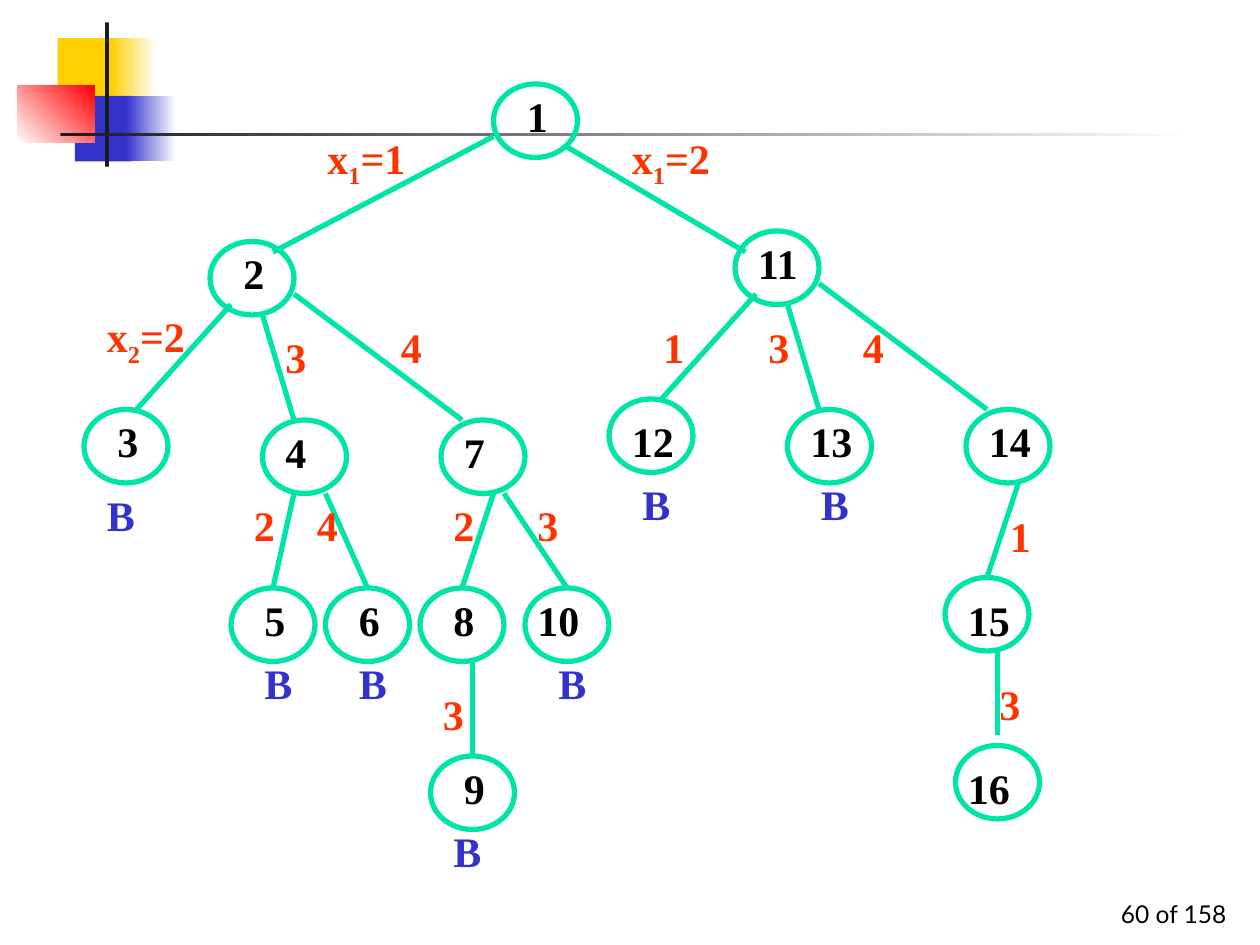
from lxml.etree import SubElement
from pptx import Presentation
from pptx.dml.color import RGBColor
from pptx.enum.shapes import MSO_CONNECTOR, MSO_SHAPE
from pptx.enum.text import MSO_ANCHOR, PP_ALIGN
from pptx.oxml.ns import qn
from pptx.util import Pt

PX = 9525  # EMU per px, 96 px to the inch
NODE_WIDTH, NODE_HEIGHT = 64, 56

COLORS = {
    "tree": "00E4A8",
    "number": "000000",
    "choice": "FF3300",
    "bound": "3333CC",
    "yellow": "FFCF01",
    "blue": "3333CC",
    "red": "FF0000",
    "dark": "1C1C1C",
    "white": "FFFFFF",
}

# Decoration: left, top, width, height, colours, gradient angle
DECORATION = [
    (44, 29, 46, 50, ["yellow"], 0),
    (84, 29, 35, 50, ["yellow", "white"], 0),
    (57, 73, 44, 50, ["blue"], 0),
    (96, 73, 38, 50, ["blue", "white"], 0),
    (13, 65, 59, 44, ["white", "red"], 45),
    (80, 17, 3, 110, ["dark"], 0),
    (46, 101, 864, 3, ["dark", "white"], 0),
]

# Node number: left, top, then offset of its label
NODES = {
    1: (376, 64, 16, 0),
    2: (160, 184, 16, 0),
    3: (64, 312, 16, 0),
    4: (200, 320, 8, 0),
    5: (176, 448, 16, 0),
    6: (248, 448, 16, 0),
    7: (336, 320, 8, 0),
    8: (320, 448, 16, 0),
    9: (328, 576, 16, 0),
    10: (400, 448, 0, 0),
    11: (560, 176, 8, 0),
    12: (464, 304, 8, 8),
    13: (600, 312, 8, 0),
    14: (736, 312, 8, 0),
    15: (720, 440, 8, 8),
    16: (728, 568, 0, 8),
}

# Child node: start and end of the branch, choice label and its position
BRANCHES = {
    2: ((376, 104), (208, 192), "x1=1", (240, 96)),
    3: ((176, 232), (104, 312), "x2=2", (72, 232)),
    4: ((200, 240), (224, 320), "3", (208, 248)),
    5: ((224, 376), (208, 448), "2", (184, 376)),
    6: ((248, 376), (280, 448), "4", (232, 376)),
    7: ((224, 224), (352, 320), "4", (296, 240)),
    8: ((376, 376), (352, 448), "2", (336, 376)),
    9: ((360, 504), (360, 576), "3", (328, 520)),
    10: ((384, 376), (432, 448), "3", (400, 376)),
    11: ((432, 112), (568, 192), "x1=2", (472, 96)),
    12: ((576, 224), (504, 304), "1", (496, 240)),
    13: ((600, 232), (624, 312), "3", (576, 240)),
    14: ((624, 216), (752, 312), "4", (648, 240)),
    15: ((776, 368), (752, 440), "1", (760, 384)),
    16: ((760, 496), (760, 560), "3", (752, 512)),
}

# Positions of the marks under bounded nodes
BOUNDS = [(72, 368), (192, 496), (264, 496), (336, 624), (416, 496), (480, 360), (616, 360)]


def color(name):
    return RGBColor.from_string(COLORS[name])


def scaled(*lengths):
    return [length * PX for length in lengths]


def add_block(page, left, top, width, height, names, angle):
    """Rectangle with a solid fill or a two-colour gradient."""
    block = page.shapes.add_shape(MSO_SHAPE.RECTANGLE, *scaled(left, top, width, height))
    block.shadow.inherit = False
    block.line.fill.background()
    if len(names) == 1:
        block.fill.solid()
        block.fill.fore_color.rgb = color(names[0])
        return
    block.fill.gradient()
    block.fill.gradient_angle = angle
    for stop, name in zip(block.fill.gradient_stops, names):
        stop.color.rgb = color(name)


def add_text(page, left, top, width, height, spans, tint, size=24, font="Times New Roman", bold=True):
    """Text box of one paragraph; every second span is a subscript."""
    box = page.shapes.add_textbox(*scaled(left, top, width, height))
    box.text_frame.word_wrap = True
    paragraph = box.text_frame.paragraphs[0]
    paragraph.font.name = font
    paragraph.font.size = Pt(size)
    paragraph.font.bold = bold
    paragraph.font.color.rgb = color(tint)
    for index, text in enumerate(spans):
        span = paragraph.add_run()
        span.text = text
        if index % 2:
            span._r.get_or_add_rPr().set("baseline", "-25000")
    return box


def add_node(page, number):
    left, top, shift_x, shift_y = NODES[number]
    node = page.shapes.add_shape(MSO_SHAPE.OVAL, *scaled(left, top, NODE_WIDTH, NODE_HEIGHT))
    node.shadow.inherit = False
    node.fill.background()
    node.line.color.rgb = color("tree")
    node.line.width = Pt(3)
    add_text(page, left + shift_x, top + shift_y, 72, 48, [str(number)], "number")
    return node


def add_branch(page, start, end, child, child_place):
    branch = page.shapes.add_connector(MSO_CONNECTOR.STRAIGHT, *scaled(*start, *end))
    branch.line.color.rgb = color("tree")
    branch.line.width = Pt(3)
    SubElement(branch._element.spPr, qn("a:effectLst"))
    left, top = child_place
    if end == (left + NODE_WIDTH // 2, top):
        branch.end_connect(child, 0)


def add_choice(page, label, place):
    if label.startswith("x"):
        add_text(page, *place, 104, 54, [label[0], label[1], label[2:]], "choice")
    else:
        add_text(page, *place, 56, 48, [label], "choice")


def add_page_number(page):
    box = add_text(page, 744, 664, 200, 48, ["60 of 158"], "number", 14, "Lato", False)
    box.text_frame.vertical_anchor = MSO_ANCHOR.BOTTOM
    box.text_frame.paragraphs[0].alignment = PP_ALIGN.RIGHT


def main():
    deck = Presentation()
    deck.slide_width, deck.slide_height = scaled(960, 720)
    page = deck.slides.add_slide(deck.slide_layouts[6])

    # Corner decoration and rule
    for block in DECORATION:
        add_block(page, *block)
    add_page_number(page)

    # Search tree
    nodes = {number: add_node(page, number) for number in NODES}
    for number, (start, end, label, place) in BRANCHES.items():
        add_branch(page, start, end, nodes[number], NODES[number][:2])
        add_choice(page, label, place)
    for place in BOUNDS:
        add_text(page, *place, 56, 48, ["B"], "bound")

    deck.save("out.pptx")


if __name__ == "__main__":
    main()
